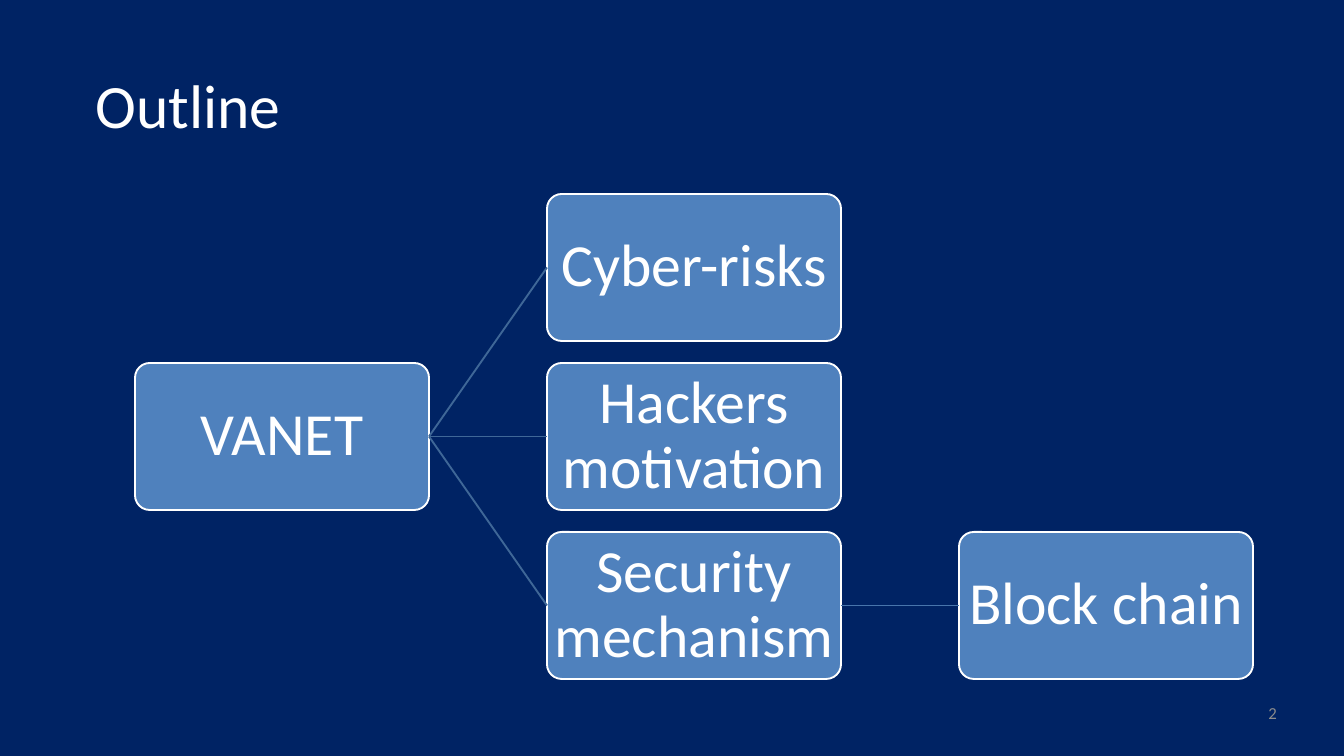
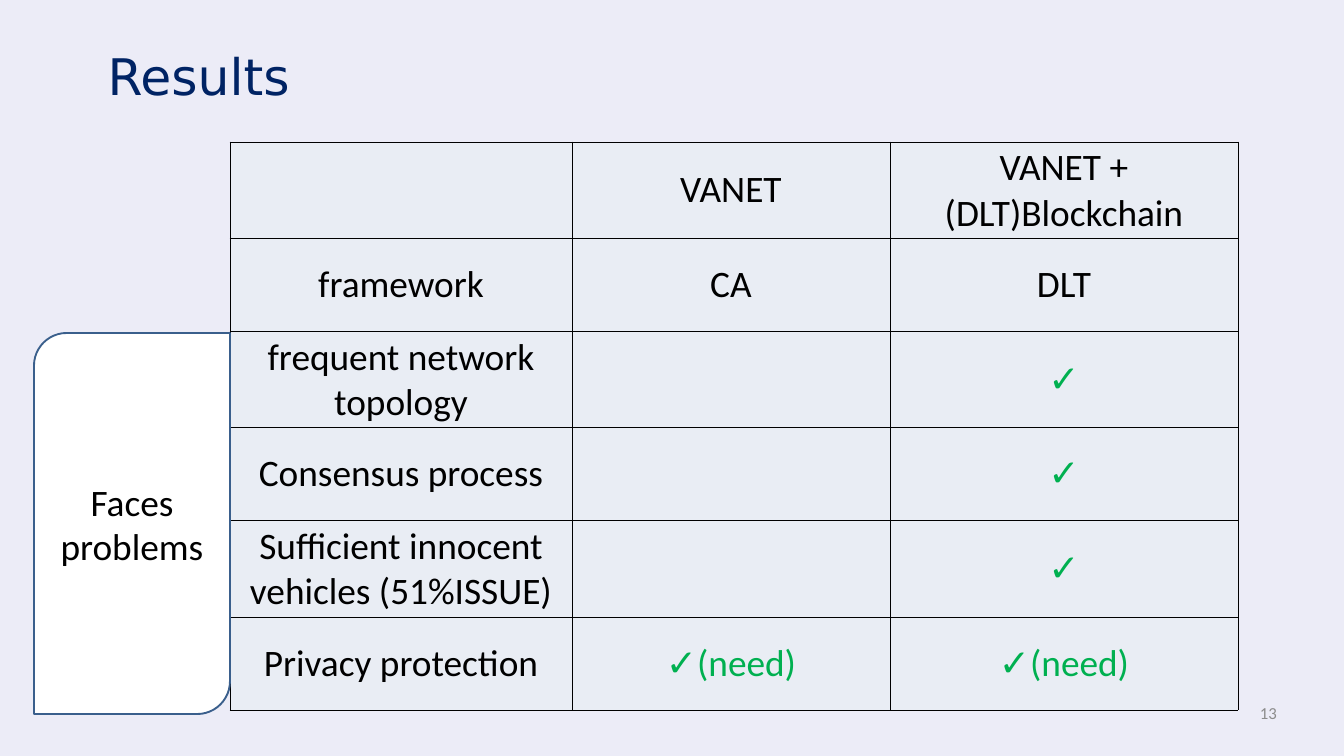
"""Build the outline and results slides of a talk on VANET security."""
import pptx
import pptx.dml.color
import pptx.enum.shapes
import pptx.enum.text
import pptx.oxml
import pptx.oxml.ns
import pptx.util

RGBColor = pptx.dml.color.RGBColor
SHAPE = pptx.enum.shapes.MSO_SHAPE
ALIGN = pptx.enum.text.PP_ALIGN
ANCHOR = pptx.enum.text.MSO_ANCHOR

NAVY = RGBColor(0x00, 0x23, 0x64)
LAVENDER = RGBColor(0xEC, 0xEC, 0xF7)
WHITE = RGBColor(0xFF, 0xFF, 0xFF)
BLACK = RGBColor(0x00, 0x00, 0x00)
GREY = RGBColor(0x8C, 0x8C, 0x8C)
GREEN = RGBColor(0x00, 0xB0, 0x50)
BLUE = RGBColor(0x4F, 0x81, 0xBD)
BRANCH = RGBColor(0x3F, 0x67, 0x97)
SUB_BRANCH = RGBColor(0x48, 0x75, 0xAC)
PANEL_LINE = RGBColor(0x3A, 0x5F, 0x8C)
CELL_FILL = RGBColor(0xE9, 0xED, 0xF4)

TOPICS = {
    "VANET": (0, 1),
    "Cyber-risks": (1, 0),
    "Hackers motivation": (1, 1),
    "Security mechanism": (1, 2),
    "Block chain": (2, 2),
}
LINKS = [
    ("VANET", "Cyber-risks", BRANCH),
    ("VANET", "Hackers motivation", BRANCH),
    ("VANET", "Security mechanism", BRANCH),
    ("Security mechanism", "Block chain", SUB_BRANCH),
]
RESULTS = [
    ("", "VANET", "VANET + (DLT)Blockchain"),
    ("framework", "CA", "DLT"),
    ("frequent network topology", "", "✓"),
    ("Consensus process", "", "✓"),
    ("Sufficient innocent vehicles (51%ISSUE)", "", "✓"),
    ("Privacy protection", "✓(need)", "✓(need)"),
]

SLIDE_WIDTH, SLIDE_HEIGHT = 1344, 756
TOPIC_WIDTH, TOPIC_HEIGHT = 294, 147
TOPIC_LEFT, TOPIC_TOP = 135, 194
TOPIC_STEP_X, TOPIC_STEP_Y = 412, 169
TABLE_LEFT, TABLE_TOP = 230, 142
COLUMN_WIDTHS = (342, 318, 348)
ROW_HEIGHT = 93


def px(length):
    return pptx.util.Emu(round(length * 914400 / 67.2))


def area(*lengths):
    return [px(length) for length in lengths]


def write(frame, text, size, color, align=ALIGN.CENTER, font="Calibri"):
    frame.text = text
    for para in frame.paragraphs:
        para.alignment = align
        for span in para.runs:
            span.font.name = font
            span.font.size = pptx.util.Pt(size)
            span.font.color.rgb = color


def add_page(deck, background, number):
    page = deck.slides.add_slide(deck.slide_layouts[5])
    page.background.fill.solid()
    page.background.fill.fore_color.rgb = background
    frame = page.shapes.add_textbox(*area(968, 703, 309, 38)).text_frame
    frame.margin_left = frame.margin_right = frame.margin_top = frame.margin_bottom = 0
    frame.word_wrap = True
    write(frame, number, 18, GREY, ALIGN.RIGHT)
    return page


def set_title(page, text, place, size, color, font="Calibri"):
    title = page.shapes.title
    title.left, title.top, title.width, title.height = area(*place)
    frame = title.text_frame
    frame.auto_size = pptx.enum.text.MSO_AUTO_SIZE.NONE
    frame.vertical_anchor = ANCHOR.TOP
    frame.word_wrap = False
    write(frame, text, size, color, ALIGN.LEFT, font)


def add_box(page, kind, place, fill, line, text, size, color):
    box = page.shapes.add_shape(kind, *area(*place))
    box.shadow.inherit = False
    box.fill.solid()
    box.fill.fore_color.rgb = fill
    box.line.color.rgb = line
    box.line.width = pptx.util.Pt(2)
    box.text_frame.word_wrap = True
    box.text_frame.vertical_anchor = ANCHOR.MIDDLE
    write(box.text_frame, text, size, color)
    return box


def add_topic(page, text, column, row):
    place = (TOPIC_LEFT + column * TOPIC_STEP_X, TOPIC_TOP + row * TOPIC_STEP_Y,
             TOPIC_WIDTH, TOPIC_HEIGHT)
    box = add_box(page, SHAPE.ROUNDED_RECTANGLE, place, BLUE, WHITE, text, 64, WHITE)
    box.adjustments[0] = 0.1
    frame = box.text_frame
    frame.margin_left = frame.margin_right = frame.margin_top = frame.margin_bottom = px(3)
    frame.paragraphs[0].line_spacing = 0.9
    return box


def link(page, start, end, color):
    line = page.shapes.add_connector(pptx.enum.shapes.MSO_CONNECTOR.STRAIGHT, 0, 0, 0, 0)
    line.begin_connect(start, 3)
    line.end_connect(end, 1)
    line.line.color.rgb = color
    line.line.width = pptx.util.Pt(2)
    properties = line._element.spPr
    properties.append(properties.makeelement(pptx.oxml.ns.qn("a:effectLst"), {}))


def add_borders(cell):
    properties = cell._tc.get_or_add_tcPr()
    for index, side in enumerate(("lnL", "lnR", "lnT", "lnB")):
        properties.insert(index, pptx.oxml.parse_xml(
            f'<a:{side} {pptx.oxml.ns.nsdecls("a")} w="12700"><a:solidFill>'
            f'<a:srgbClr val="{BLACK}"/></a:solidFill></a:{side}>'))


def add_results(page):
    place = area(TABLE_LEFT, TABLE_TOP, sum(COLUMN_WIDTHS), ROW_HEIGHT * len(RESULTS))
    table = page.shapes.add_table(len(RESULTS), len(COLUMN_WIDTHS), *place).table
    table.first_row = table.horz_banding = False
    for column, width in zip(table.columns, COLUMN_WIDTHS):
        column.width = px(width)
    for row, texts in zip(table.rows, RESULTS):
        row.height = px(ROW_HEIGHT)
        for cell, text in zip(row.cells, texts):
            cell.fill.solid()
            cell.fill.fore_color.rgb = CELL_FILL
            cell.vertical_anchor = ANCHOR.MIDDLE
            write(cell.text_frame, text, 40, GREEN if text.startswith("✓") else BLACK)
            add_borders(cell)


def build_outline(deck):
    page = add_page(deck, NAVY, "2")
    set_title(page, "Outline", (89, 64, 200, 81), 66, WHITE)
    boxes = {text: add_topic(page, text, *spot) for text, spot in TOPICS.items()}
    for start, end, color in LINKS:
        link(page, boxes[start], boxes[end], color)


def build_results(deck):
    page = add_page(deck, LAVENDER, "13")
    set_title(page, "Results", (101, 42, 235, 68), 54, NAVY, "DejaVu Sans")
    add_results(page)
    add_box(page, SHAPE.ROUND_2_DIAG_RECTANGLE, (34, 333, 196, 381),
            WHITE, PANEL_LINE, "Faces problems", 40, BLACK)


def main():
    deck = pptx.Presentation()
    deck.slide_width, deck.slide_height = area(SLIDE_WIDTH, SLIDE_HEIGHT)
    build_outline(deck)
    build_results(deck)
    deck.save("out.pptx")


if __name__ == "__main__":
    main()
